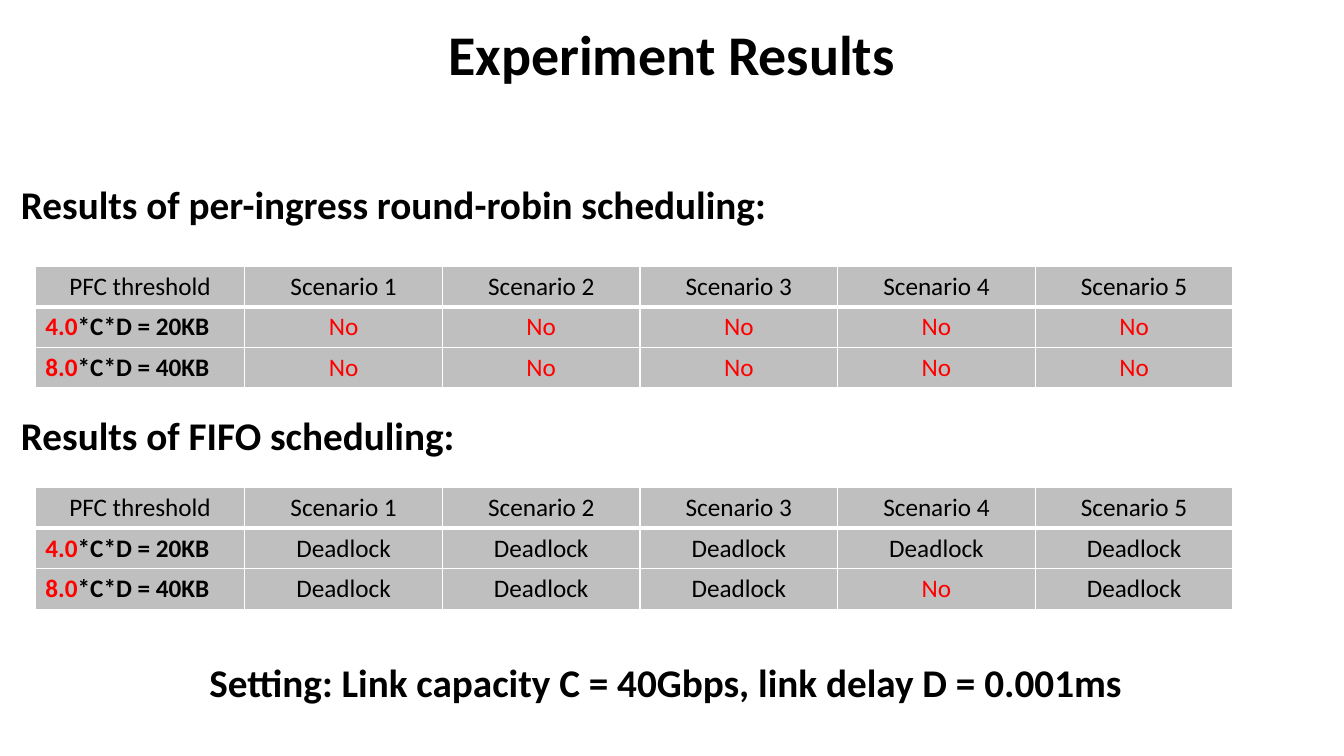
from lxml.etree import SubElement
from pptx import Presentation
from pptx.dml.color import RGBColor
from pptx.enum.text import MSO_AUTO_SIZE, PP_ALIGN
from pptx.oxml.ns import qn
from pptx.util import Cm, Pt

BLACK = RGBColor(0x00, 0x00, 0x00)
RED = RGBColor(0xFF, 0x00, 0x00)
GRAY = RGBColor(0xBF, 0xBF, 0xBF)
WHITE = RGBColor(0xFF, 0xFF, 0xFF)

THRESHOLD_WIDTH, SCENARIO_WIDTH, ROW_HEIGHT = 5.28, 4.98, 1.02
HEADER = ["PFC threshold"] + [f"Scenario {number}" for number in range(1, 6)]
THRESHOLDS = [("4.0", "*C*D = 20KB"), ("8.0", "*C*D = 40KB")]
ROUND_ROBIN = [["No"] * 5, ["No"] * 5]
FIFO = [["Deadlock"] * 5, ["Deadlock"] * 3 + ["No", "Deadlock"]]


def add_words(paragraph, words, size, color=BLACK, bold=False):
    run = paragraph.add_run()
    run.text = words
    font_format = {"name": "Calibri", "size": Pt(size), "bold": bold}
    for attribute, value in font_format.items():
        setattr(run.font, attribute, value)
    run.font.color.rgb = color


def add_statement(slide, box, words, size=28, wrap=False, align=PP_ALIGN.LEFT):
    frame = slide.shapes.add_textbox(*map(Cm, box)).text_frame
    frame_format = {"word_wrap": wrap, "auto_size": MSO_AUTO_SIZE.SHAPE_TO_FIT_TEXT}
    for attribute, value in frame_format.items():
        setattr(frame, attribute, value)
    frame.paragraphs[0].alignment = align
    add_words(frame.paragraphs[0], words, size, bold=True)


def set_borders(cell, bottom):
    properties = cell._tc.get_or_add_tcPr()
    widths = {"a:lnL": 1, "a:lnR": 1, "a:lnT": 1, "a:lnB": bottom}
    for edge, width in widths.items():
        line = SubElement(properties, qn(edge), w=str(Pt(width)))
        fill = SubElement(line, qn("a:solidFill"))
        SubElement(fill, qn("a:srgbClr"), val=str(WHITE))


def add_results(slide, left, top, outcomes):
    rows, columns = len(outcomes) + 1, len(HEADER)
    width = THRESHOLD_WIDTH + SCENARIO_WIDTH * (columns - 1)
    table = slide.shapes.add_table(
        rows, columns, Cm(left), Cm(top), Cm(width), Cm(ROW_HEIGHT * rows)
    ).table
    table.horz_banding = False
    for index, column in enumerate(table.columns):
        column.width = Cm(SCENARIO_WIDTH if index else THRESHOLD_WIDTH)

    # Header, then one row per threshold
    grid = [HEADER] + [[pair] + row for pair, row in zip(THRESHOLDS, outcomes)]
    for row_index, row in enumerate(grid):
        for column_index, entry in enumerate(row):
            cell = table.cell(row_index, column_index)
            set_borders(cell, bottom=1 if row_index else 3)
            cell.fill.solid()
            cell.fill.fore_color.rgb = GRAY
            paragraph = cell.text_frame.paragraphs[0]
            if isinstance(entry, tuple):
                factor, formula = entry
                add_words(paragraph, factor, 18, RED, bold=True)
                add_words(paragraph, formula, 18, bold=True)
            else:
                paragraph.alignment = PP_ALIGN.CENTER
                add_words(paragraph, entry, 18, RED if entry == "No" else BLACK)


def add_section(slide, left, top, heading_width, table_gap, heading, outcomes):
    add_statement(slide, (left, top, heading_width, 1.45), heading)
    add_results(slide, left + 0.61, top + table_gap, outcomes)


def main():
    presentation = Presentation()
    presentation.slide_width, presentation.slide_height = Cm(33.87), Cm(19.05)
    slide = presentation.slides.add_slide(presentation.slide_layouts[6])

    # Title
    add_statement(slide, (0.89, 0.38, 32.06, 1.96), "Experiment Results",
                  size=40, wrap=True, align=PP_ALIGN.CENTER)

    # Results by scheduling method
    add_section(slide, 0.28, 4.42, 19.51, 2.29,
                "Results of per-ingress round-robin scheduling:", ROUND_ROBIN)
    add_section(slide, 0.28, 10.24, 11.56, 2.05,
                "Results of FIFO scheduling:", FIFO)

    # Experiment setting
    add_statement(slide, (5.03, 16.46, 23.83, 1.45),
                  "Setting: Link capacity C = 40Gbps, link delay D = 0.001ms")

    presentation.save("out.pptx")


if __name__ == "__main__":
    main()
